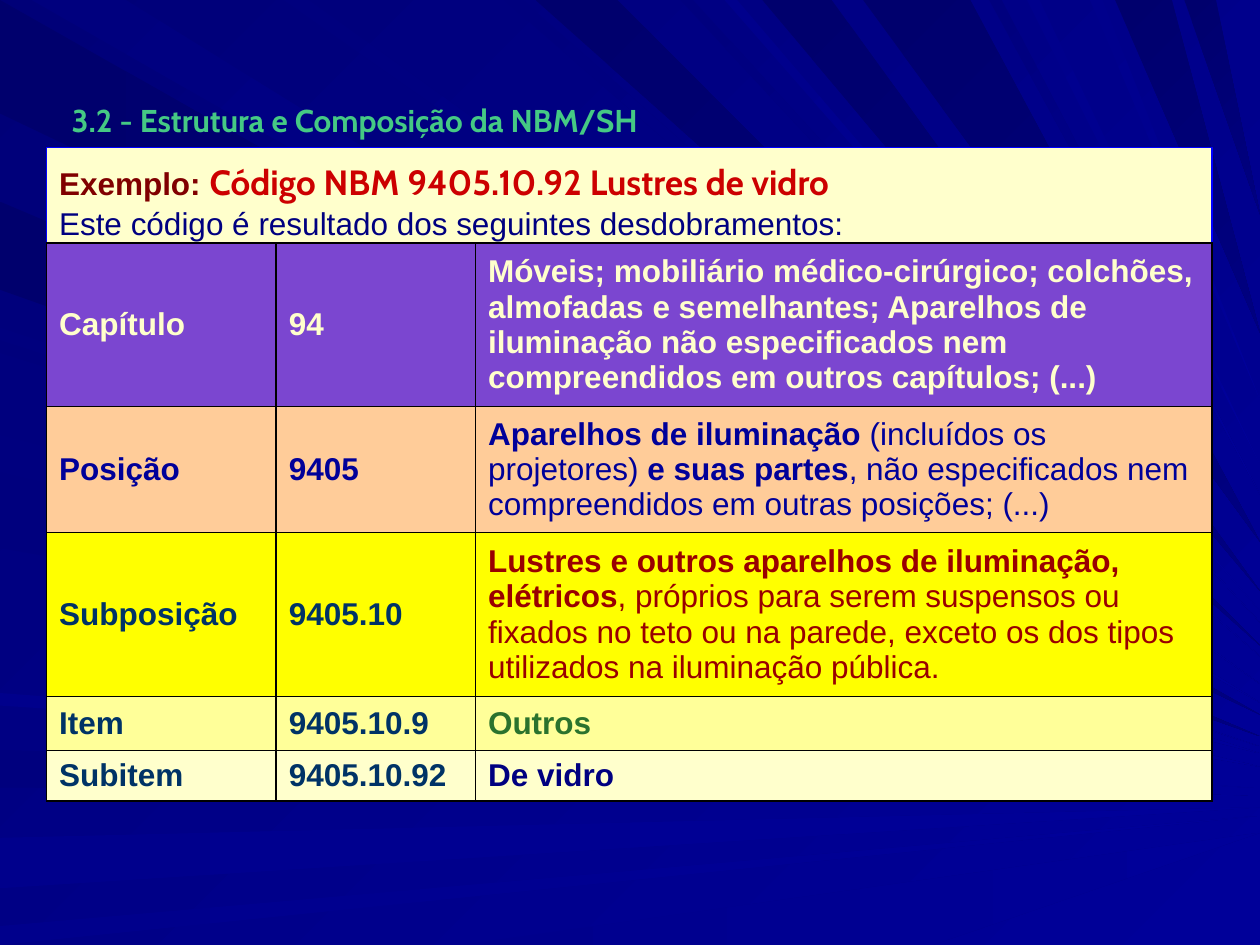
from typing import NamedTuple

from lxml.etree import SubElement
from pptx import Presentation
from pptx.dml.color import RGBColor
from pptx.enum.shapes import MSO_SHAPE as Shape
from pptx.enum.text import MSO_ANCHOR as Anchor, PP_ALIGN as Align
from pptx.oxml.ns import qn
from pptx.util import Inches, Pt

SLIDE_WIDTH, SLIDE_HEIGHT = 10, 7.5  # inches
LEFT, CONTENT_WIDTH = 0.037, 0.925  # shares of the slide width
COLUMN_SHARES = (0.197, 0.171, 0.632)
ROW_HEIGHTS = (1.3, 1.0, 1.3, 0.43, 0.4)

COLORS = {
    "title": "45C984", "cream": "FFFFCC", "maroon": "800000", "red": "CC0000",
    "navy": "000080", "blue": "0000FF", "black": "000000", "purple": "7B46D0",
    "peach": "FFCC99", "yellow": "FFFF00", "pale yellow": "FFFF99",
    "royal": "000099", "petrol": "003366", "brick": "990000", "green": "2B732D",
    "night": "000078", "deep": "00006D", "soft": "00007E", "faint": "00008C",
}

# All rays run from an edge of the slide towards one point beyond its right side
RAY_FOCUS = (11.3, 6.35)
RAY_COLORS = {"deep": ("deep", "navy"), "soft": ("soft", "royal"), "faint": ("faint", "royal")}
# (edge, kind): start and breadth of each ray along that edge, in inches
RAYS = {
    ("left", "deep"): [(0, 0.9), (1.6, 0.7)],
    ("left", "soft"): [(2.6, 0.1), (2.8, 0.65), (3.75, 0.6), (5.95, 0.3)],
    ("left", "faint"): [(5.5, 0.1), (6.65, 0.4), (7.35, 0.15)],
    ("top", "soft"): [(0.25, 0.75), (2.25, 0.2), (4, 0.15), (5.4, 0.1), (7.85, 0.1)],
    ("top", "deep"): [(4.25, 0.65), (6.05, 0.55), (6.85, 0.85), (8.85, 0.45), (9.4, 0.25)],
    ("top", "faint"): [(5.75, 0.1), (8.15, 0.1), (8.65, 0.1)],
    ("bottom", "faint"): [(3.65, 3.75)],
}


class Level(NamedTuple):
    fill: str
    label_color: str
    text_color: str
    name: str
    code: str
    description: list  # bold and regular text in turn


LEVELS = [
    Level("purple", "cream", "cream", "Capítulo", "94",
          ["Móveis; mobiliário médico-cirúrgico; colchões, almofadas e semelhantes; Aparelhos "
           "de iluminação não especificados nem compreendidos em outros capítulos; (...)"]),
    Level("peach", "royal", "royal", "Posição", "9405",
          ["Aparelhos de iluminação", " (incluídos os projetores) ", "e suas partes",
           ", não especificados nem compreendidos em outras posições; (...)"]),
    Level("yellow", "petrol", "brick", "Subposição", "9405.10",
          ["Lustres e outros aparelhos de iluminação, elétricos",
           ", próprios para serem suspensos ou fixados no teto ou na parede, exceto os dos "
           "tipos utilizados na iluminação pública."]),
    Level("pale yellow", "petrol", "green", "Item", "9405.10.9", ["Outros"]),
    Level("cream", "petrol", "navy", "Subitem", "9405.10.92", ["De vidro"]),
]


def rgb(name):
    return RGBColor.from_string(COLORS[name])


def area(left, top, width, height):
    """Turn shares of the slide's size into lengths."""
    return (Inches(left * SLIDE_WIDTH), Inches(top * SLIDE_HEIGHT),
            Inches(width * SLIDE_WIDTH), Inches(height * SLIDE_HEIGHT))


def paint(fill, color):
    fill.solid()
    fill.fore_color.rgb = rgb(color)


def paint_gradient(fill, colors, clockwise_angle):
    fill.gradient()
    fill.gradient_angle = -clockwise_angle % 360
    for stop, color in zip(fill.gradient_stops, colors):
        stop.color.rgb = rgb(color)


def write(paragraph, text, color, size=18, font="Arial", bold=True):
    run = paragraph.add_run()
    run.text = text
    run.font.size, run.font.name, run.font.bold = Pt(size), font, bold
    run.font.color.rgb = rgb(color)


def edge_point(edge, distance):
    return {"left": (0, distance), "top": (distance, 0),
            "bottom": (distance, SLIDE_HEIGHT)}[edge]


def ray_tip(x, y):
    """Where the line from (x, y) to the focus meets the right side of the slide."""
    focus_x, focus_y = RAY_FOCUS
    return SLIDE_WIDTH, y + (focus_y - y) * (SLIDE_WIDTH - x) / (focus_x - x)


def add_ray(slide, edge, kind, start, breadth):
    corners = [edge_point(edge, start), edge_point(edge, start + breadth),
               ray_tip(*edge_point(edge, start + breadth / 2))]
    first, *rest = [(Inches(x), Inches(y)) for x, y in corners]
    builder = slide.shapes.build_freeform(*first)
    builder.add_line_segments(rest, close=True)
    ray = builder.convert_to_shape()
    ray.shadow.inherit = False
    ray.line.fill.background()
    paint_gradient(ray.fill, RAY_COLORS[kind], 45 if edge == "top" else 0)


def add_background(slide):
    paint_gradient(slide.background.fill, ("night", "royal"), 45)
    for (edge, kind), spans in RAYS.items():
        for start, breadth in spans:
            add_ray(slide, edge, kind, start, breadth)


def add_title(slide):
    frame = slide.shapes.add_textbox(*area(0.047, 0.1, 0.93, 0.053)).text_frame
    frame.word_wrap = True
    write(frame.paragraphs[0], "3.2 - Estrutura e Composição da NBM/SH", "title", font="Cabin")


def add_example(slide):
    panel = slide.shapes.add_shape(Shape.RECTANGLE, *area(LEFT, 0.156, CONTENT_WIDTH, 0.107))
    panel.shadow.inherit = False
    paint(panel.fill, "cream")
    panel.line.color.rgb = rgb("blue")
    panel.line.width = Pt(0.75)
    frame = panel.text_frame
    frame.word_wrap = True
    frame.vertical_anchor = Anchor.MIDDLE
    heading, note = frame.paragraphs[0], frame.add_paragraph()
    heading.alignment = note.alignment = Align.LEFT
    write(heading, "Exemplo: ", "maroon")
    write(heading, "Código NBM 9405.10.92 Lustres de vidro", "red", size=20, font="Cabin")
    write(heading, " ", "cream", size=24, font="Cabin", bold=False)
    write(note, "Este código é resultado dos seguintes desdobramentos:", "navy", bold=False)


def add_borders(cell):
    properties = cell._tc.get_or_add_tcPr()
    for position, side in enumerate(("a:lnL", "a:lnR", "a:lnT", "a:lnB")):
        line = properties.makeelement(qn(side), {"w": str(Pt(1))})
        properties.insert(position, line)
        fill = SubElement(line, qn("a:solidFill"))
        SubElement(fill, qn("a:srgbClr"), val=COLORS["black"])


def fill_cell(cell, fill, color, segments):
    """Write the segments bold and regular in turn."""
    paint(cell.fill, fill)
    add_borders(cell)
    cell.vertical_anchor = Anchor.MIDDLE
    for index, segment in enumerate(segments):
        write(cell.text_frame.paragraphs[0], segment, color, bold=index % 2 == 0)


def add_levels_table(slide):
    place = area(LEFT, 0.257, CONTENT_WIDTH, sum(ROW_HEIGHTS) / SLIDE_HEIGHT)
    table = slide.shapes.add_table(len(LEVELS), len(COLUMN_SHARES), *place).table
    table.first_row = table.horz_banding = False
    for column, share in zip(table.columns, COLUMN_SHARES):
        column.width = Inches(SLIDE_WIDTH * CONTENT_WIDTH * share)
    for row, height, level in zip(table.rows, ROW_HEIGHTS, LEVELS):
        row.height = Inches(height)
        name_cell, code_cell, description_cell = row.cells
        fill_cell(name_cell, level.fill, level.label_color, [level.name])
        fill_cell(code_cell, level.fill, level.label_color, [level.code])
        fill_cell(description_cell, level.fill, level.text_color, level.description)


def main():
    presentation = Presentation()
    presentation.slide_width = Inches(SLIDE_WIDTH)
    presentation.slide_height = Inches(SLIDE_HEIGHT)
    slide = presentation.slides.add_slide(presentation.slide_layouts[6])
    add_background(slide)
    add_example(slide)
    add_levels_table(slide)
    add_title(slide)
    presentation.save("out.pptx")


if __name__ == "__main__":
    main()
